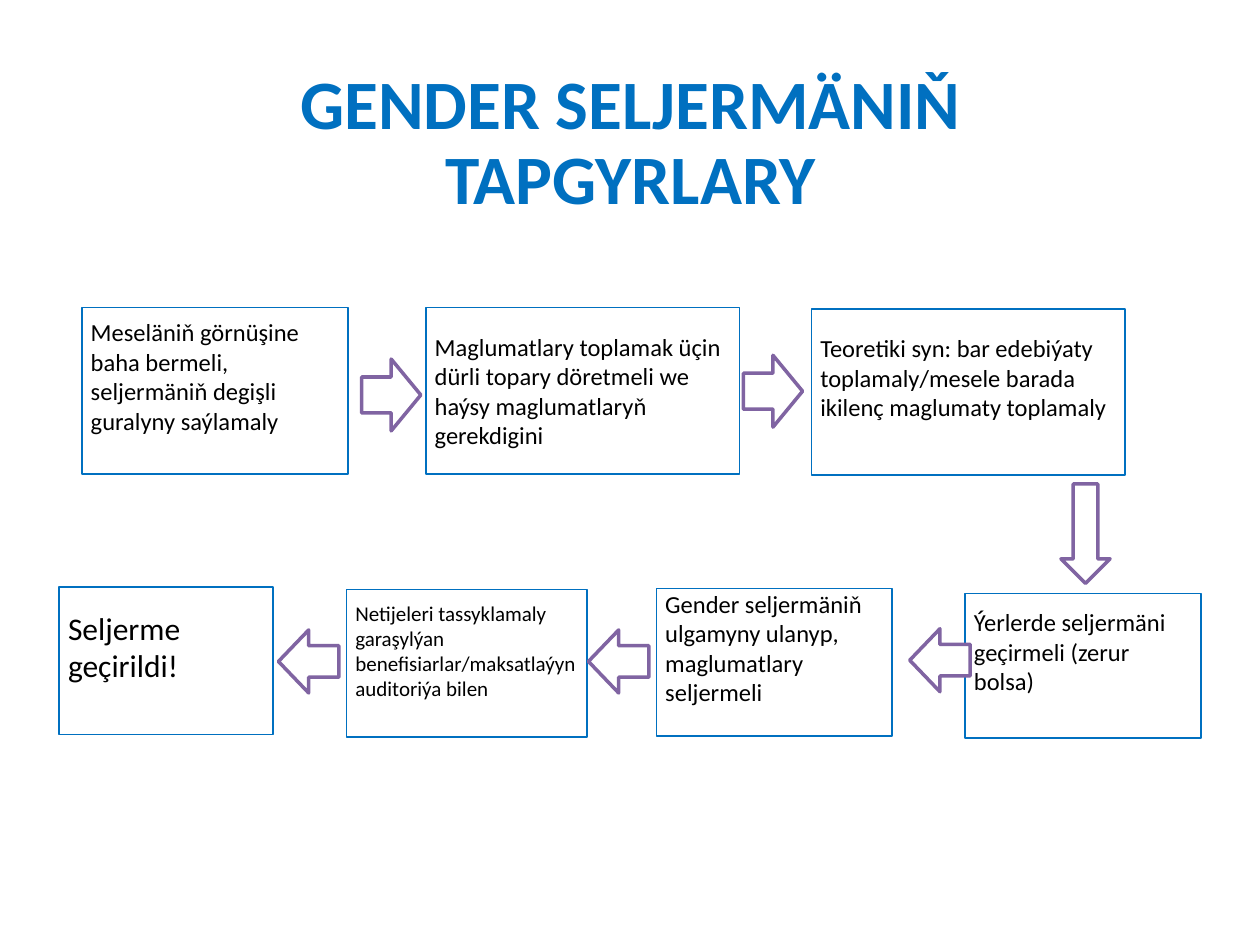
from pptx import Presentation
from pptx.dml.color import RGBColor
from pptx.enum.shapes import MSO_SHAPE
from pptx.enum.text import MSO_ANCHOR, PP_ALIGN
from pptx.util import Inches, Pt

COLORS = {"blue": "0070C0", "purple": "8064A2", "white": "FFFFFF", "black": "000000"}
FONT = "Calibri"
TITLE = "GENDER SELJERMÄNIŇ TAPGYRLARY"

# Steps: text, (left, top, width, height), size in points, room below the text
STEPS = [
    ("Meseläniň görnüşine baha bermeli, seljermäniň degişli guralyny saýlamaly",
     (0.65, 2.44, 2.11, 1.32), 14, 0.23),
    ("Maglumatlary toplamak üçin dürli topary döretmeli we haýsy maglumatlaryň gerekdigini",
     (3.38, 2.44, 2.49, 1.32), 14, 0),
    ("Teoretiki syn: bar edebiýaty toplamaly/mesele barada ikilenç maglumaty toplamaly",
     (6.44, 2.45, 2.49, 1.32), 14, 0.23),
    ("Ýerlerde seljermäni geçirmeli (zerur bolsa)",
     (7.66, 4.71, 1.87, 1.15), 14, 0.23),
    ("Gender seljermäniň ulgamyny ulanyp, maglumatlary seljermeli",
     (5.21, 4.67, 1.87, 1.17), 14, 0.23),
    ("Netijeleri tassyklamaly garaşylýan benefisiarlar/maksatlaýyn auditoriýa bilen",
     (2.75, 4.68, 1.91, 1.17), 12, 0.2),
    ("Seljerme geçirildi!",
     (0.47, 4.66, 1.7, 1.17), 18, 0.23),
]

# Arrows: preset, (width, height), positions (left, top)
ARROWS = [
    (MSO_SHAPE.RIGHT_ARROW, (0.47, 0.57), [(2.87, 2.85), (5.9, 2.82)]),
    (MSO_SHAPE.DOWN_ARROW, (0.39, 0.79), [(8.42, 3.84)]),
    (MSO_SHAPE.LEFT_ARROW, (0.48, 0.5), [(7.22, 4.99), (4.67, 5), (2.21, 5)]),
]


def rgb(name):
    return RGBColor.from_string(COLORS[name])


def add_outline(s, preset, box, line, width):
    sp = s.shapes.add_shape(preset, *map(Inches, box))
    sp.shadow.inherit = False
    sp.fill.solid()
    sp.fill.fore_color.rgb = rgb("white")
    sp.line.color.rgb = rgb(line)
    sp.line.width = Pt(width)
    return sp


def set_text(sp, text, size, color, bold=False, align=PP_ALIGN.LEFT, below=0, spacing=1.0):
    tf = sp.text_frame
    frame = {"word_wrap": True, "vertical_anchor": MSO_ANCHOR.MIDDLE,
             "margin_left": Inches(0.07), "margin_right": Inches(0.07),
             "margin_top": Inches(0.04), "margin_bottom": Inches(0.04 + below)}
    for key, value in frame.items():
        setattr(tf, key, value)
    p = tf.paragraphs[0]
    p.alignment, p.line_spacing = align, spacing
    r = p.add_run()
    r.text = text
    for key, value in {"name": FONT, "size": Pt(size), "bold": bold}.items():
        setattr(r.font, key, value)
    r.font.color.rgb = rgb(color)


prs = Presentation()
prs.slide_width, prs.slide_height = Inches(10), Inches(7.5)
s = prs.slides.add_slide(prs.slide_layouts[6])

# Step boxes
for text, box, size, below in STEPS:
    sp = add_outline(s, MSO_SHAPE.RECTANGLE, box, "blue", 1)
    set_text(sp, text, size, "black", below=below)

# Arrows between the steps
for preset, size, positions in ARROWS:
    for position in positions:
        add_outline(s, preset, position + size, "purple", 2)

# Title
title = s.shapes.add_textbox(*map(Inches, (0.88, 0.49, 8.25, 1.31)))
set_text(title, TITLE, 39.6, "blue", bold=True, align=PP_ALIGN.CENTER, spacing=0.9)

prs.save("out.pptx")
